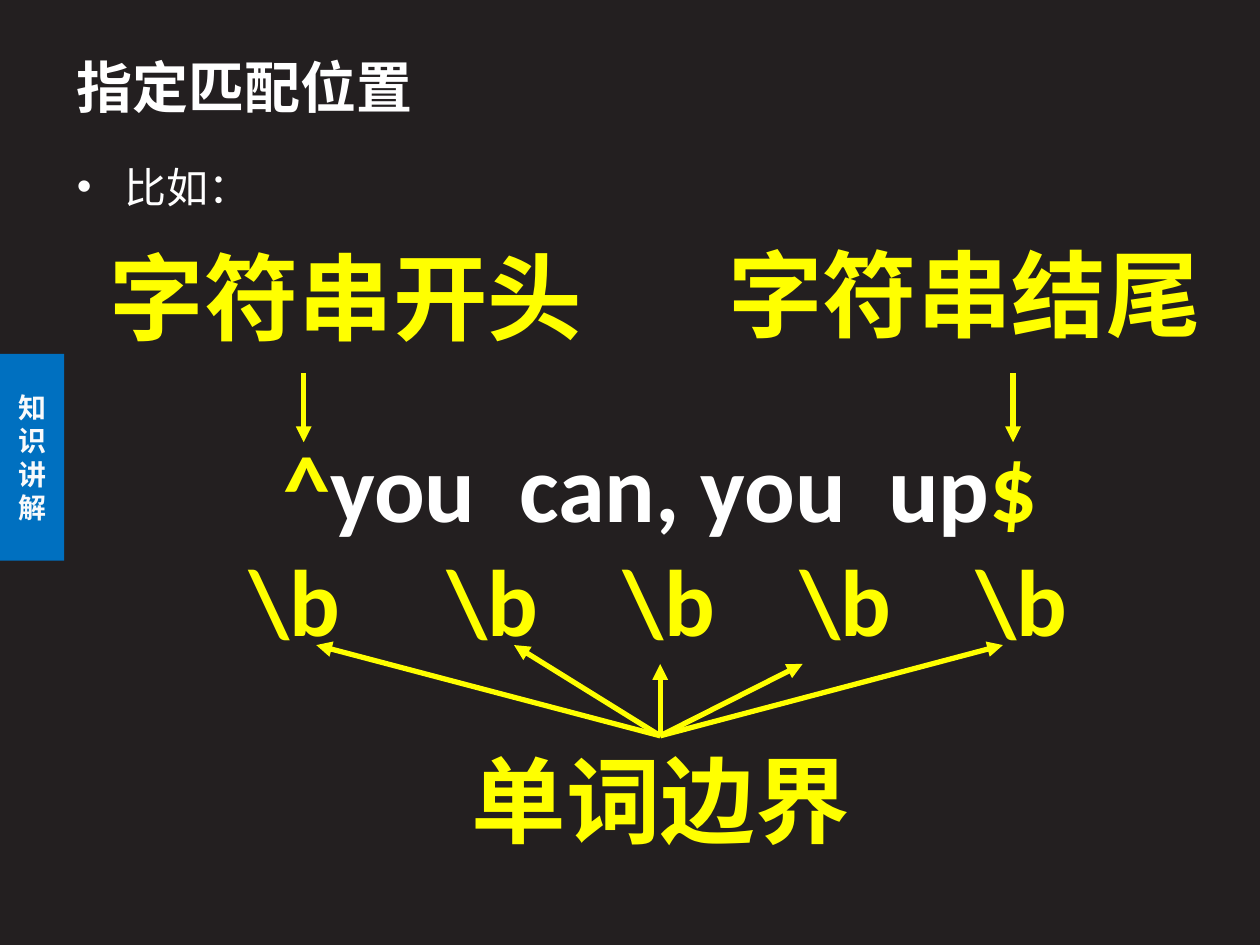
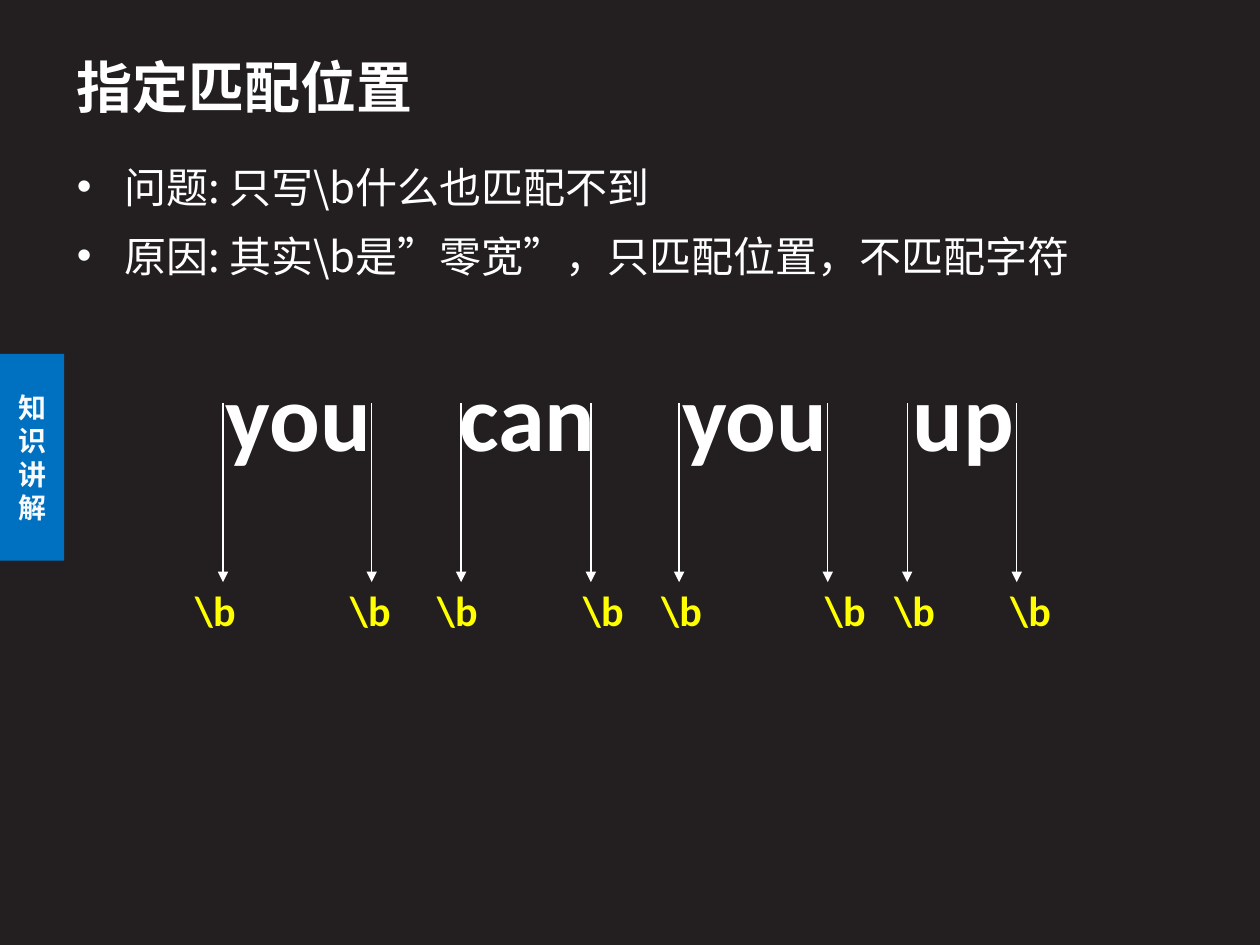
"""Build two slides on matching positions with regular expressions."""
from dataclasses import dataclass

from lxml.etree import SubElement
from pptx import Presentation
from pptx.dml.color import RGBColor as Rgb
from pptx.enum.shapes import MSO_CONNECTOR as Link, MSO_SHAPE as Kind
from pptx.enum.text import MSO_ANCHOR as Anchor, MSO_AUTO_SIZE as Fit, PP_ALIGN as Align
from pptx.oxml.ns import qn
from pptx.slide import Slide
from pptx.text.text import TextFrame
from pptx.util import Inches, Pt

COLORS = {"back": "231F20", "white": "FFFFFF", "tab": "0070C0",
          "label": "F9FAFB", "mark": "FFFF00"}
HAN = "Noto Sans CJK SC"
LATIN = "Calibri"
TITLE = "指定匹配位置"


@dataclass(frozen=True)
class Label:
    text: str
    left: float
    top: float
    drop: float | None = None


@dataclass(frozen=True)
class Word:
    text: str
    start: float
    end: float
    marks: tuple[float, float]


LABELS = (Label("字符串开头", 0.54, 1.85, 2.41),
          Label("字符串结尾", 5.45, 1.82, 8.04),
          Label("单词边界", 3.04, 5.84))
PARTS = (("^you", 2.25), ("can, you", 4.12), ("up$", 7.05))
BOUNDS = (1.98, 3.55, 4.95, 6.35, 7.75)
TIPS = ((2.51, 5.12), (4.08, 5.12), (5.24, 5.27), (6.37, 5.27), (7.96, 5.12))
HUB = (5.24, 5.84)
WORDS = (Word("you", 1.77, 2.95, (1.71, 2.94)),
         Word("can", 3.66, 4.69, (3.63, 4.79)),
         Word("you", 5.39, 6.57, (5.41, 6.71)),
         Word("up", 7.2, 8.07, (7.26, 8.18)))


def paint(fill, name: str) -> None:
    fill.solid()
    fill.fore_color.rgb = Rgb.from_string(COLORS[name])


def write(frame: TextFrame, *lines: str, size: float, color: str = "white",
          font: str = HAN, bold: bool = False, align: Align = Align.LEFT,
          space: float | None = None, accent: str = "") -> None:
    frame.word_wrap = True
    frame.auto_size = Fit.NONE
    for index, line in enumerate(lines):
        para = frame.add_paragraph() if index else frame.paragraphs[0]
        para.alignment = align
        para.line_spacing = space
        cuts = [0] + [i for i in range(1, len(line))
                      if (line[i] in accent) != (line[i - 1] in accent)]
        for start, end in zip(cuts, cuts[1:] + [len(line)]):
            run = para.add_run()
            run.text = line[start:end]
            run.font.size = Pt(size)
            run.font.bold = bold
            run.font.name = font
            hue = "mark" if line[start] in accent else color
            run.font.color.rgb = Rgb.from_string(COLORS[hue])
            SubElement(run.font._element, qn("a:ea"), typeface=HAN)


def place(shape, left: float, top: float, width: float, height: float) -> None:
    shape.left, shape.top = Inches(left), Inches(top)
    shape.width, shape.height = Inches(width), Inches(height)


def add_box(slide: Slide, text: str, left: float, top: float,
            width: float, height: float = 0.92, **style) -> None:
    box = slide.shapes.add_textbox(*map(Inches, (left, top, width, height)))
    frame = box.text_frame
    frame.margin_left = frame.margin_right = 0
    frame.margin_top = frame.margin_bottom = 0
    write(frame, text, font=LATIN, bold=True, **style)


def add_arrow(slide: Slide, start: tuple[float, float], end: tuple[float, float],
              color: str, width: float) -> None:
    line = slide.shapes.add_connector(Link.STRAIGHT, *map(Inches, start + end))
    paint(line.line.fill, color)
    line.line.width = Pt(width)
    SubElement(line.line._get_or_add_ln(), qn("a:tailEnd"), type="triangle")
    SubElement(line._element.spPr, qn("a:effectLst"))


def add_tab(slide: Slide) -> None:
    tab = slide.shapes.add_shape(Kind.RECTANGLE,
                                 *map(Inches, (0, 2.81, 0.51, 1.64)))
    tab.shadow.inherit = False
    paint(tab.fill, "tab")
    tab.line.fill.background()
    tab.text_frame.vertical_anchor = Anchor.MIDDLE
    write(tab.text_frame, "知识讲解", size=16, color="label", bold=True,
          align=Align.CENTER)


def add_slide(deck, *points: str, height: float) -> Slide:
    slide = deck.slides.add_slide(deck.slide_layouts[1])
    add_tab(slide)
    title, body = slide.shapes.title, slide.placeholders[1]
    place(title, 0.51, 0.29, 7.4, 0.78)
    title.text_frame.vertical_anchor = Anchor.MIDDLE
    write(title.text_frame, TITLE, size=32, bold=True)
    place(body, 0.51, 1.15, 8.82, height)
    write(body.text_frame, *points, size=24, space=1.2)
    return slide


def draw_bounds(deck) -> None:
    slide = add_slide(deck, "比如：", height=0.54)
    for text, left in PARTS:
        add_box(slide, text, left, 3.4, 2.8, size=54, accent="^$")
    for left in BOUNDS:
        add_box(slide, "\\b", left, 4.3, 1, size=54, color="mark")
    for label in LABELS:
        add_box(slide, label.text, label.left, label.top + 0.05, 4.41,
                size=54, color="mark", align=Align.CENTER)
        if label.drop:
            add_arrow(slide, (label.drop, 2.96), (label.drop, 3.51), "mark", 3)
    for tip in TIPS:
        add_arrow(slide, HUB, tip, "mark", 3)


def draw_words(deck) -> None:
    slide = add_slide(deck, "问题: 只写\\b什么也匹配不到",
                      "原因: 其实\\b是”零宽”，只匹配位置，不匹配字符", height=1.4)
    for word in WORDS:
        mid = (word.start + word.end) / 2
        add_box(slide, word.text, mid - 0.79, 2.83, 1.6, size=54, align=Align.CENTER)
        for edge, mark in zip((word.start, word.end), word.marks):
            add_arrow(slide, (edge, 3.2), (edge, 4.62), "white", 0.75)
            add_box(slide, "\\b", mark - 0.25, 4.64, 0.5, 0.41, size=24,
                    color="mark", align=Align.CENTER)


def main() -> None:
    deck = Presentation()
    deck.slide_width, deck.slide_height = Inches(10), Inches(7.5)
    paint(deck.slide_master.background.fill, "back")
    draw_bounds(deck)
    draw_words(deck)
    deck.save("out.pptx")


if __name__ == "__main__":
    main()
